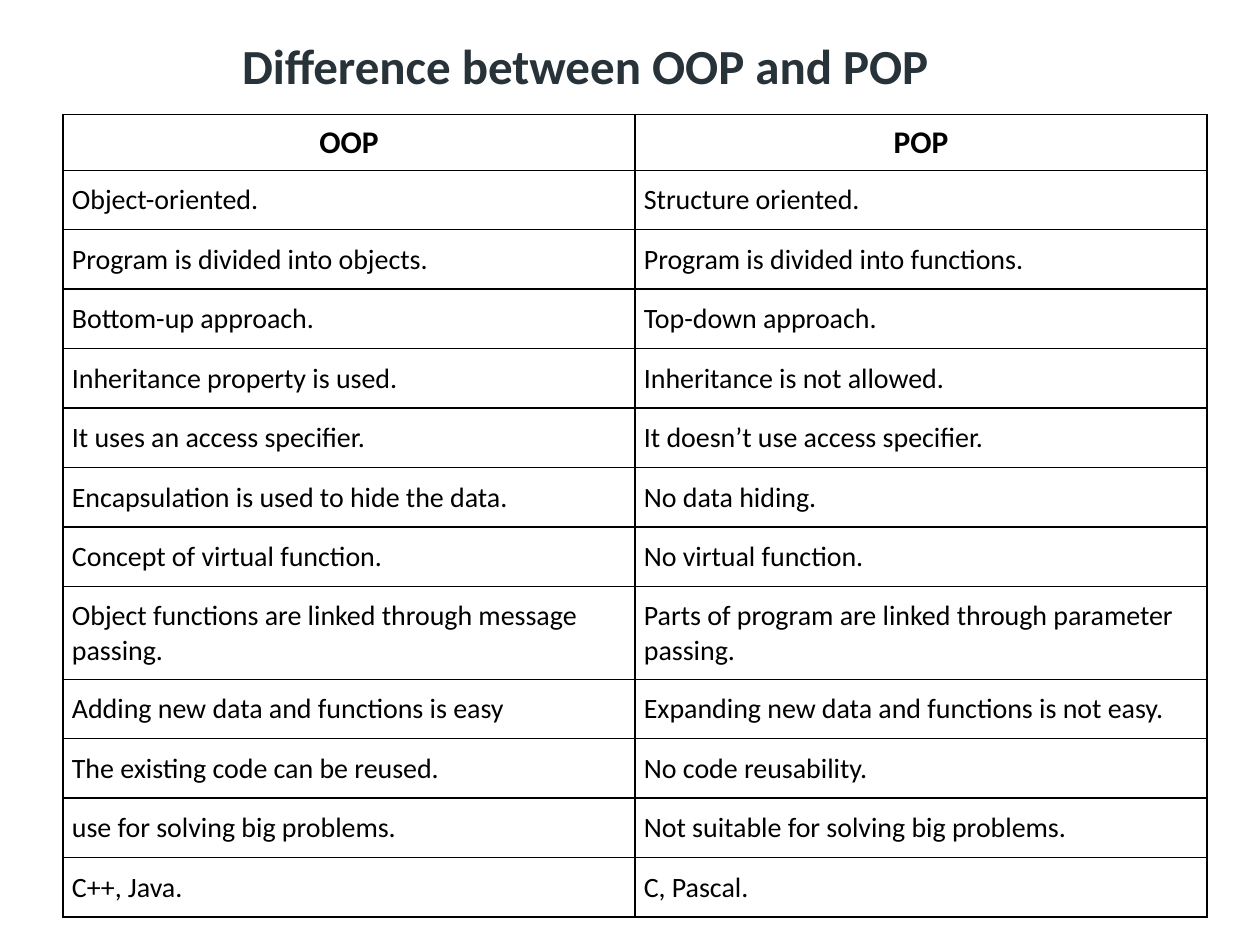
from lxml import etree
from pptx import Presentation
from pptx import util as u
from pptx.dml.color import RGBColor
from pptx.enum import shapes, text
from pptx.oxml.ns import qn

FONT = "Calibri"
BLACK = "000000"
ROW_HEIGHT = u.Cm(1.04)
HEADER = ("OOP", "POP")
COMPARISONS = [
    ("Object-oriented.", "Structure oriented."),
    ("Program is divided into objects.", "Program is divided into functions."),
    ("Bottom-up approach.", "Top-down approach."),
    ("Inheritance property is used.", "Inheritance is not allowed."),
    ("It uses an access specifier.", "It doesn’t use access specifier."),
    ("Encapsulation is used to hide the data.", "No data hiding."),
    ("Concept of virtual function.", "No virtual function."),
    ("Object functions are linked through message passing.",
     "Parts of program are linked through parameter passing."),
    ("Adding new data and functions is easy",
     "Expanding new data and functions is not easy."),
    ("The existing code can be reused.", "No code reusability."),
    ("use for solving big problems.", "Not suitable for solving big problems."),
    ("C++, Java.", "C, Pascal."),
]


def color(value):
    return RGBColor.from_string(value)


def format_text(frame, size, value, bold, align):
    for para in frame.paragraphs:
        para.alignment = align
        for span in para.runs:
            span.font.name = FONT
            span.font.size = u.Pt(size)
            span.font.bold = bold
            span.font.color.rgb = color(value)


def add_title(page, title):
    box = page.shapes.add_shape(shapes.MSO_SHAPE.RECTANGLE,
                                u.Cm(4.88), u.Cm(0.71), u.Cm(16.31), u.Cm(1.19))
    box.shadow.inherit = False
    box.fill.solid()
    box.fill.fore_color.rgb = color("FFFFFF")
    box.line.fill.background()
    frame = box.text_frame
    frame.margin_left = frame.margin_right = 0
    frame.margin_top = frame.margin_bottom = 0
    frame.vertical_anchor = text.MSO_ANCHOR.MIDDLE
    frame.word_wrap = True
    frame.auto_size = text.MSO_AUTO_SIZE.SHAPE_TO_FIT_TEXT
    frame.text = title
    format_text(frame, 28, "273239", True, text.PP_ALIGN.LEFT)


def add_borders(cell, value, width):
    properties = cell._tc.get_or_add_tcPr()
    for side in ("a:lnL", "a:lnR", "a:lnT", "a:lnB"):
        line = etree.SubElement(properties, qn(side), w=str(u.Pt(width)))
        fill = etree.SubElement(line, qn("a:solidFill"))
        etree.SubElement(fill, qn("a:srgbClr"), val=value)


def fill_cell(cell, words, is_header):
    cell.text = words
    cell.vertical_anchor = text.MSO_ANCHOR.MIDDLE
    cell.margin_left = cell.margin_right = u.Cm(0.18)
    cell.margin_top = cell.margin_bottom = u.Cm(0.18 if is_header else 0.26)
    align = text.PP_ALIGN.CENTER if is_header else text.PP_ALIGN.LEFT
    format_text(cell.text_frame, 18 if is_header else 16, BLACK, is_header, align)
    add_borders(cell, BLACK, 1)
    cell.fill.background()


def add_comparison_table(page):
    rows = [HEADER] + COMPARISONS
    table = page.shapes.add_table(len(rows), len(HEADER), u.Cm(1.27), u.Cm(2.31),
                                  u.Cm(23.06), ROW_HEIGHT * len(rows)).table
    table.horz_banding = False
    for row_index, row in enumerate(rows):
        for column_index, words in enumerate(row):
            fill_cell(table.cell(row_index, column_index), words, row_index == 0)


def main():
    deck = Presentation()
    deck.slide_width, deck.slide_height = u.Cm(25.4), u.Cm(19.05)
    page = deck.slides.add_slide(deck.slide_layouts[6])
    add_title(page, "Difference between OOP and POP")
    add_comparison_table(page)
    deck.save("out.pptx")


if __name__ == "__main__":
    main()
